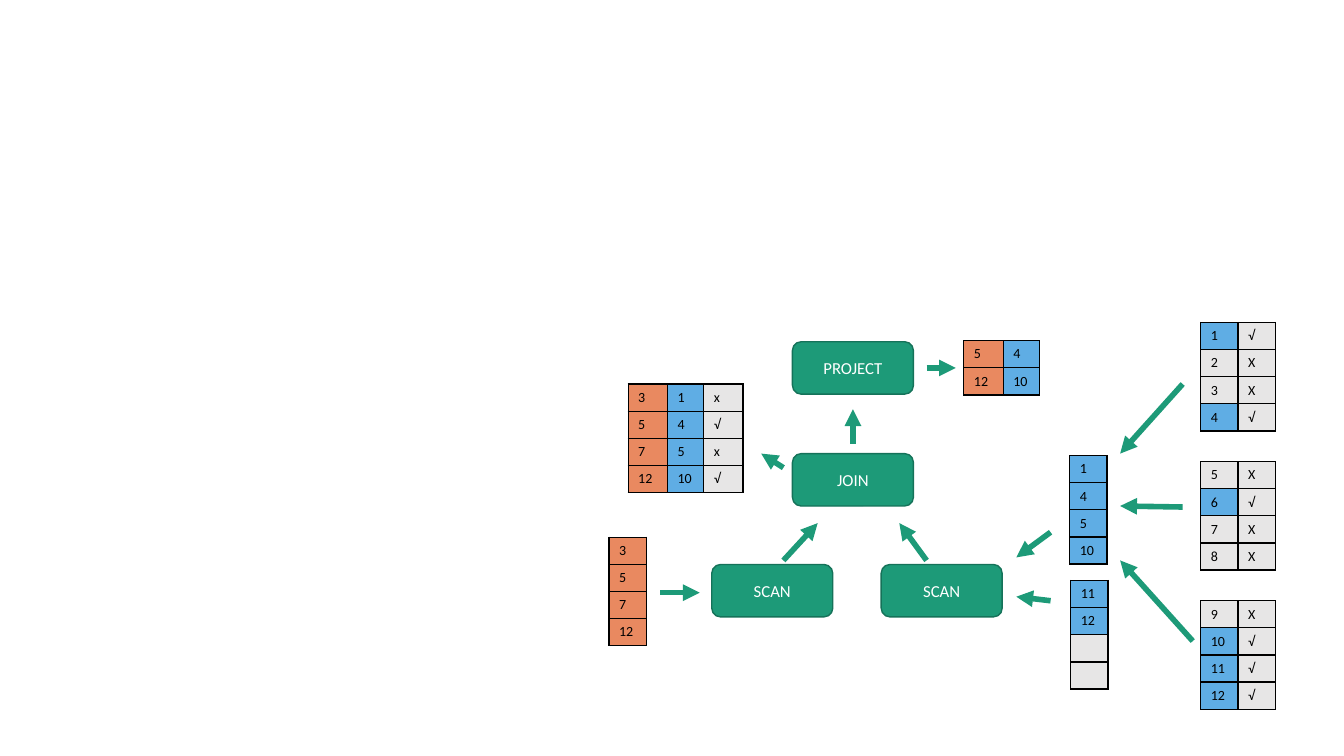
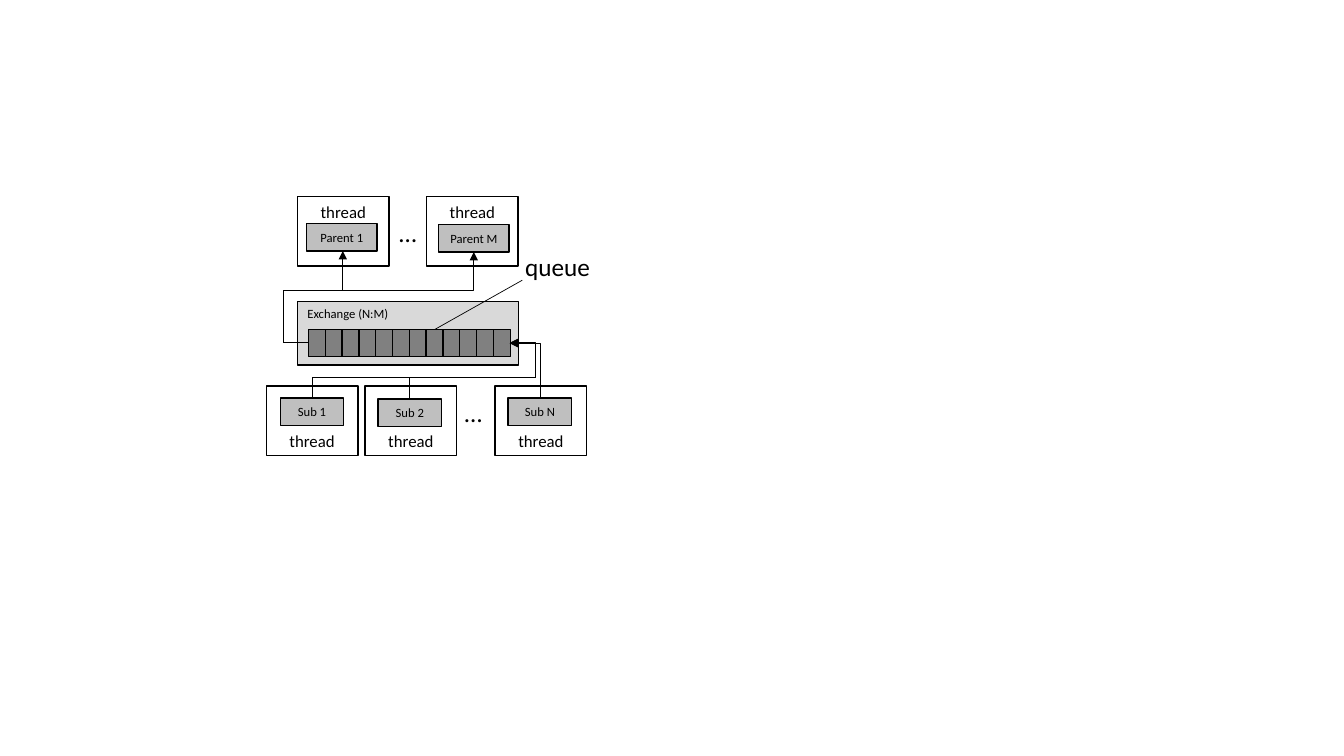
"""Build two diagram slides: a query plan with its tuples, and a threaded exchange operator."""
from lxml.etree import SubElement
from pptx import Presentation
from pptx.dml.color import RGBColor
from pptx.enum.shapes import MSO_CONNECTOR as Route, MSO_SHAPE as Form
from pptx.enum.text import MSO_ANCHOR as Anchor, PP_ALIGN as Align
from pptx.oxml.ns import qn
from pptx.util import Inches, Pt

FONT = "Calibri"
COLORS = {
    "black": "000000", "white": "FFFFFF", "green": "1D9A78", "dark green": "157259",
    "orange": "E98960", "blue": "5FADE4", "pale": "E7E6E6",
    "exchange": "D9D9D9", "operator": "BFBFBF", "queue": "808080",
}
RGB = {name: RGBColor.from_string(value) for name, value in COLORS.items()}
CENTERED = {"margin_left": Inches(0.05), "margin_right": Inches(0.05), "word_wrap": True}
MIDDLE = {**CENTERED, "vertical_anchor": Anchor.MIDDLE}
TOP = {**CENTERED, "vertical_anchor": Anchor.TOP}
BOTTOM = {**CENTERED, "vertical_anchor": Anchor.BOTTOM}


def write(frame, text, size, color="black", align=Align.LEFT, layout={}):
    for name, value in layout.items():
        setattr(frame, name, value)
    paragraph = frame.paragraphs[0]
    paragraph.alignment = align
    if not text:
        SubElement(paragraph._p, qn("a:endParaRPr"), sz=str(size * 100))
        return
    run = paragraph.add_run()
    run.text = text
    for name, value in {"name": FONT, "size": Pt(size)}.items():
        setattr(run.font, name, value)
    run.font.color.rgb = RGB[color]


def draw_line(slide, start, end, color, width, arrow=True, route=Route.STRAIGHT):
    link = slide.shapes.add_connector(route, *map(Inches, start + end))
    link.line.color.rgb = RGB[color]
    link.line.width = Pt(width)
    properties = link._element.spPr
    if arrow:
        SubElement(properties.find(qn("a:ln")), qn("a:tailEnd"), type="triangle")
    SubElement(properties, qn("a:effectLst"))
    return link


deck = Presentation()
deck.slide_width, deck.slide_height = Inches(13.33), Inches(7.5)
plan, exchange = [deck.slides.add_slide(deck.slide_layouts[6]) for _ in range(2)]

ROW_HEIGHT = 0.267
CELL_FILLS = {"o": "orange", "b": "blue", "g": "pale"}
fragments = ["b1 g√|g2 gX|g3 gX|b4 g√", "g5 gX|b6 g√|g7 gX|g8 gX", "g9 gX|b10 g√|b11 g√|b12 g√"]
tuples = [(11.91, 3.2 + 1.38 * i, [0.37, 0.37], rows) for i, rows in enumerate(fragments)] + [
    (10.61, 4.52, [0.37], "b1|b4|b5|b10"),
    (10.62, 5.76, [0.37], "b11|b12|g|g"),
    (6.04, 5.33, [0.37], "o3|o5|o7|o12"),
    (6.23, 3.81, [0.39, 0.36, 0.39], "o3 b1 gx|o5 b4 g√|o7 b5 gx|o12 b10 g√"),
    (9.56, 3.38, [0.39, 0.36], "o5 b4|o12 b10"),
]
for left, top, widths, rows in tuples:
    records = [row.split() for row in rows.split("|")]
    grid = plan.shapes.add_table(
        len(records), len(widths), Inches(left), Inches(top),
        Inches(sum(widths)), Inches(ROW_HEIGHT * len(records))).table
    for flag in ("first_row", "horz_banding"):
        setattr(grid, flag, False)
    for column, width in zip(grid.columns, widths):
        column.width = Inches(width)
    for r, record in enumerate(records):
        grid.rows[r].height = Inches(ROW_HEIGHT)
        for c, entry in enumerate(record):
            cell = grid.cell(r, c)
            write(cell.text_frame, entry[1:], 10)
            for side in ("a:lnL", "a:lnR", "a:lnT", "a:lnB"):
                border = SubElement(cell._tc.get_or_add_tcPr(), qn(side), w=str(Pt(1)))
                SubElement(SubElement(border, qn("a:solidFill")), qn("a:srgbClr"), val=COLORS["black"])
            cell.fill.solid()
            cell.fill.fore_color.rgb = RGB[CELL_FILLS[entry[0]]]

flows = [
    ((11.73, 3.81), (11.11, 4.5)), ((11.73, 5.03), (11.11, 5.02)), ((11.83, 6.36), (11.11, 5.56)),
    ((10.42, 5.28), (10.08, 5.53)), ((10.42, 5.96), (10.08, 5.92)), ((9.19, 5.56), (8.92, 5.19)),
    ((7.77, 5.56), (8.11, 5.19)), ((6.55, 5.88), (6.94, 5.88)), ((7.77, 4.64), (7.55, 4.5)),
    ((8.46, 4.4), (8.46, 4.06)), ((9.19, 3.65), (9.48, 3.65)),
]
for start, end in flows:
    draw_line(plan, start, end, "green", 4)

STEP = (Form.ROUNDED_RECTANGLE, 1.2, 0.52, "green", "dark green", 12, "white", Align.CENTER, MIDDLE)
PARENT = (Form.RECTANGLE, 0.7, 0.27, "operator", "black", 9, "black", Align.CENTER, MIDDLE)
SUB = (Form.RECTANGLE, 0.63, *PARENT[2:])
EXCHANGE = (Form.RECTANGLE, 2.19, 0.63, "exchange", "black", 9, "black", Align.LEFT,
            {"vertical_anchor": Anchor.TOP, "word_wrap": True})
SLOT = (Form.RECTANGLE, 0.17, 0.27, "queue", "black", 9, "black", Align.CENTER, MIDDLE)
PARENT_THREAD = (Form.RECTANGLE, 0.91, 0.69, None, "black", 12, "black", Align.CENTER, TOP)
SUB_THREAD = (*PARENT_THREAD[:-1], BOTTOM)
boxes = [
    (plan, STEP, 7.86, 3.39, "PROJECT"), (plan, STEP, 7.86, 4.5, "JOIN"),
    (plan, STEP, 7.06, 5.6, "SCAN"), (plan, STEP, 8.74, 5.6, "SCAN"),
    (exchange, PARENT, 3.04, 2.22, "Parent 1"), (exchange, PARENT, 4.35, 2.23, "Parent M"),
    (exchange, EXCHANGE, 2.95, 2.99, "Exchange (N:M)"),
    (exchange, SUB, 2.78, 3.95, "Sub 1"), (exchange, SUB, 3.75, 3.96, "Sub 2"),
    (exchange, SUB, 5.04, 3.95, "Sub N"),
]
boxes += [(exchange, SLOT, 3.06 + i / 6, 3.27, "") for i in range(12)]
boxes += [(exchange, PARENT_THREAD, left, 1.95, "thread") for left in (2.95, 4.23)]
boxes += [(exchange, SUB_THREAD, left, 3.83, "thread") for left in (2.64, 3.62, 4.91)]
for slide, style, left, top, label in boxes:
    form, width, height, fill, outline, size, color, align, layout = style
    box = slide.shapes.add_shape(form, *map(Inches, (left, top, width, height)))
    box.shadow.inherit = False
    if fill:
        box.fill.solid()
        box.fill.fore_color.rgb = RGB[fill]
    else:
        box.fill.background()
    box.line.color.rgb = RGB[outline]
    box.line.width = Pt(1)
    write(box.text_frame, label, size, color, align, layout)

routes = [
    (3.8, 2.7, 0.55, 1.96, 90, "HV", "bentConnector4", (0.379, 1.128)),
    (4.28, 3.18, 0.56, 1, 90, "HV", "bentConnector4", (0.38, 1.251)),
    (4.93, 3.53, 0.55, 0.3, 270, "V", "bentConnector2", ()),
    (3.06, 2.49, 0.34, 0.91, 180, "H", "bentConnector4", (-0.736, 0.574)),
    (3.06, 2.5, 1.64, 0.9, 180, "H", "bentConnector4", (-0.152, 0.574)),
]
for left, top, width, height, turn, flips, preset, bends in routes:
    route = draw_line(exchange, (left, top), (left + width, top + height), "black", 0.5, route=Route.ELBOW)
    frame = route._element.spPr.find(qn("a:xfrm"))
    frame.set("rot", str(turn * 60000))
    for axis in flips:
        frame.set("flip" + axis, "1")
    geometry = route._element.spPr.find(qn("a:prstGeom"))
    geometry.set("prst", preset)
    for number, bend in enumerate(bends, 1):
        SubElement(geometry.find(qn("a:avLst")), qn("a:gd"), name=f"adj{number}",
                   fmla=f"val {round(bend * 100000)}")
draw_line(exchange, (5.18, 2.78), (4.31, 3.27), "black", 0.5, arrow=False)

for left, top, width, caption in [(5.11, 2.44, 0.85, "queue"), (3.86, 2.11, 0.38, "…"), (4.51, 3.89, 0.38, "…")]:
    note = exchange.shapes.add_textbox(*map(Inches, (left, top, width, 0.4)))
    write(note.text_frame, caption, 18, layout={"word_wrap": False})

deck.save("out.pptx")
